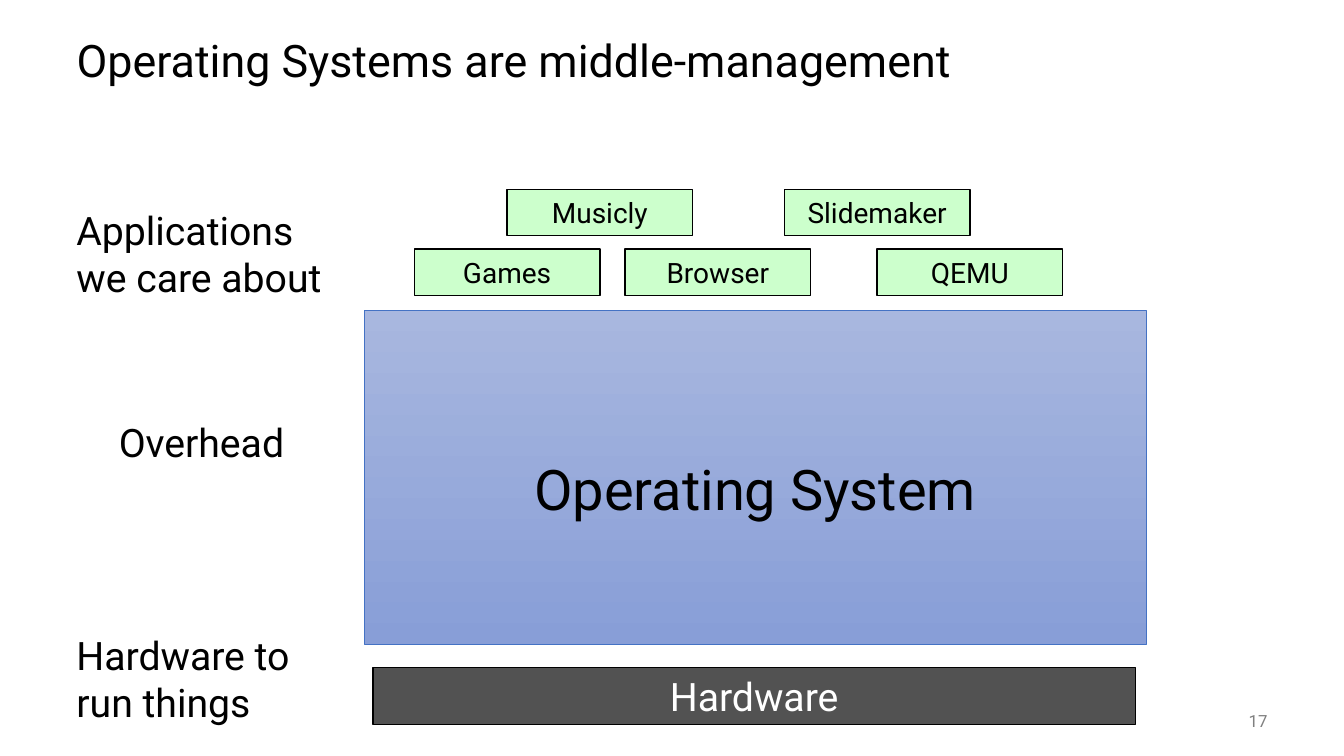
from pptx import Presentation
from pptx.dml.color import RGBColor as Rgb
from pptx.enum.shapes import MSO_SHAPE as Kind
from pptx.enum.text import MSO_ANCHOR as Anchor, PP_ALIGN as Align
from pptx.util import Pt

PX = 9144
FONT = "Roboto"
INK = {
    "black": "000000",
    "white": "FFFFFF",
    "gray": "808080",
    "dark": "525252",
    "green": "CCFFCC",
    "top": "A8B7DF",
    "base": "889ED7",
    "edge": "4472C4",
}


def ink(name):
    return Rgb.from_string(INK[name])


def span(*sides):
    return [side * PX for side in sides]


class Deck:
    def __init__(self, wide, high):
        self.prs = Presentation()
        self.prs.slide_width, self.prs.slide_height = span(wide, high)
        self.slide = self.prs.slides.add_slide(self.prs.slide_layouts[5])

    def letter(self, shape, text, size, color="black", align=Align.LEFT,
               anchor=Anchor.TOP, wrap=True):
        frame = shape.text_frame
        frame.text = text
        frame.word_wrap = wrap
        frame.vertical_anchor = anchor
        para = frame.paragraphs[0]
        para.alignment = align
        font = para.runs[0].font
        font.name = FONT
        font.size = Pt(size)
        font.color.rgb = ink(color)
        return para

    def title(self, box, text):
        shape = self.slide.shapes.title
        shape.left, shape.top, shape.width, shape.height = span(*box)
        para = self.letter(shape, text, 32, anchor=Anchor.MIDDLE)
        para.line_spacing = 0.9

    def label(self, box, text, size=28, **style):
        shape = self.slide.shapes.add_textbox(*span(*box))
        self.letter(shape, text, size, **style)

    def block(self, box, text, size, fill, color="black", edge="black",
              line=1, anchor=Anchor.MIDDLE):
        shape = self.slide.shapes.add_shape(Kind.RECTANGLE, *span(*box))
        shape.shadow.inherit = False
        shape.fill.solid()
        shape.fill.fore_color.rgb = ink(fill)
        shape.line.color.rgb = ink(edge)
        shape.line.width = Pt(line)
        self.letter(shape, text, size, color, Align.CENTER, anchor, False)
        return shape

    def shade(self, shape, *names):
        shape.fill.gradient()
        shape.fill.gradient_angle = 270
        for stop, name in zip(shape.fill.gradient_stops, names):
            stop.color.rgb = ink(name)


def main():
    deck = Deck(1333, 750)
    deck.title((66, 25, 1200, 75), "Operating Systems are middle-management")

    deck.block((370, 662, 756, 57), "Hardware", 28, "dark", "white")
    apps = {
        188: [(503, "Musicly"), (778, "Slidemaker")],
        247: [(411, "Games"), (620, "Browser"), (870, "QEMU")],
    }
    for top, row in apps.items():
        for left, name in row:
            deck.block((left, top, 184, 46), name, 20, "green")

    system = deck.block((361, 308, 776, 331), "Operating System", 40, "top",
                        edge="edge", line=0.5, anchor=Anchor.TOP)
    deck.shade(system, "top", "base")
    system.text_frame.margin_top = 143 * PX

    deck.label((66, 200, 273, 104), "Applications we care about")
    deck.label((108, 410, 233, 57), "Overhead")
    deck.label((66, 621, 273, 104), "Hardware to run things")
    deck.label((1167, 695, 100, 40), "17", 12, color="gray",
               align=Align.RIGHT, anchor=Anchor.MIDDLE)
    deck.prs.save("out.pptx")


if __name__ == "__main__":
    main()
